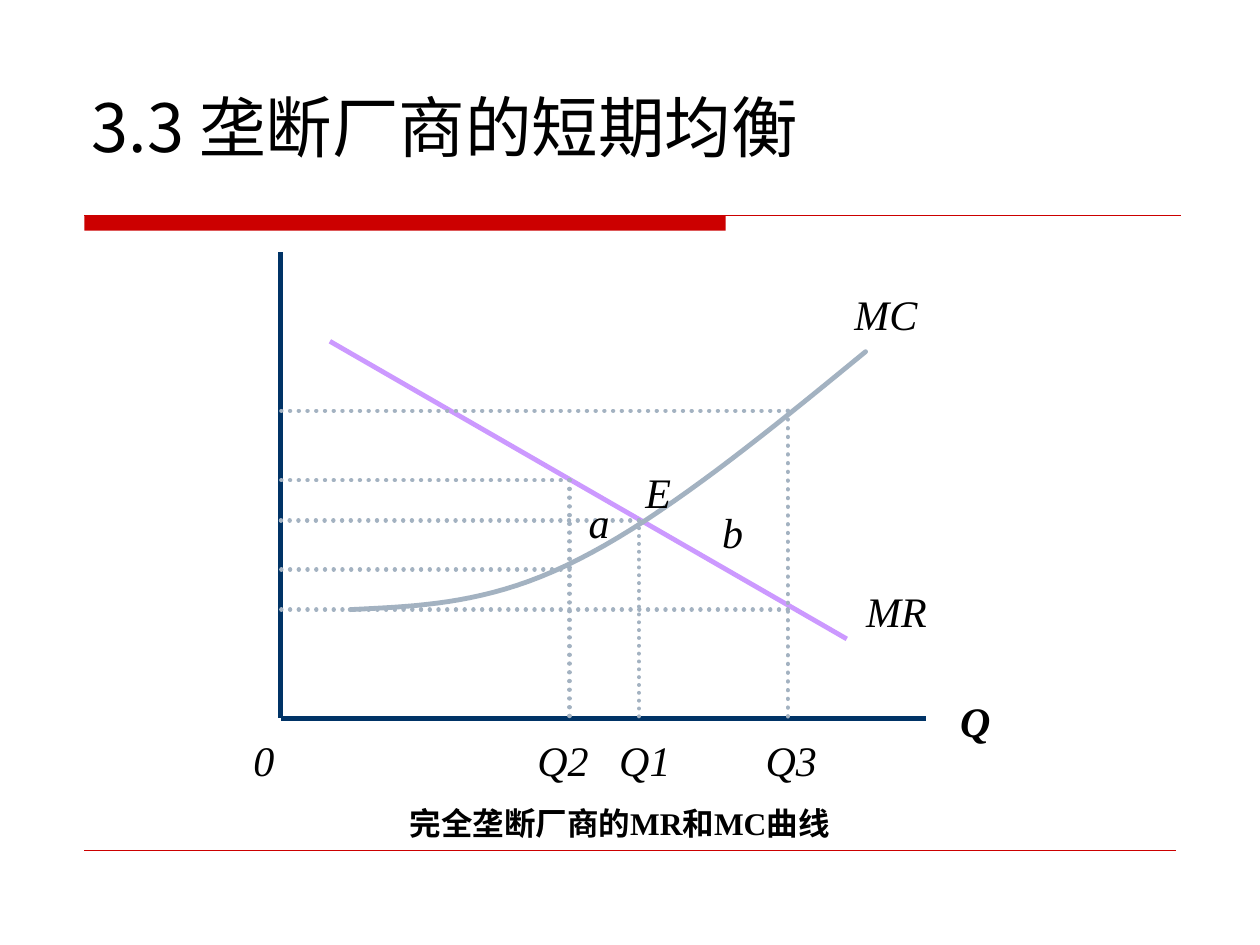
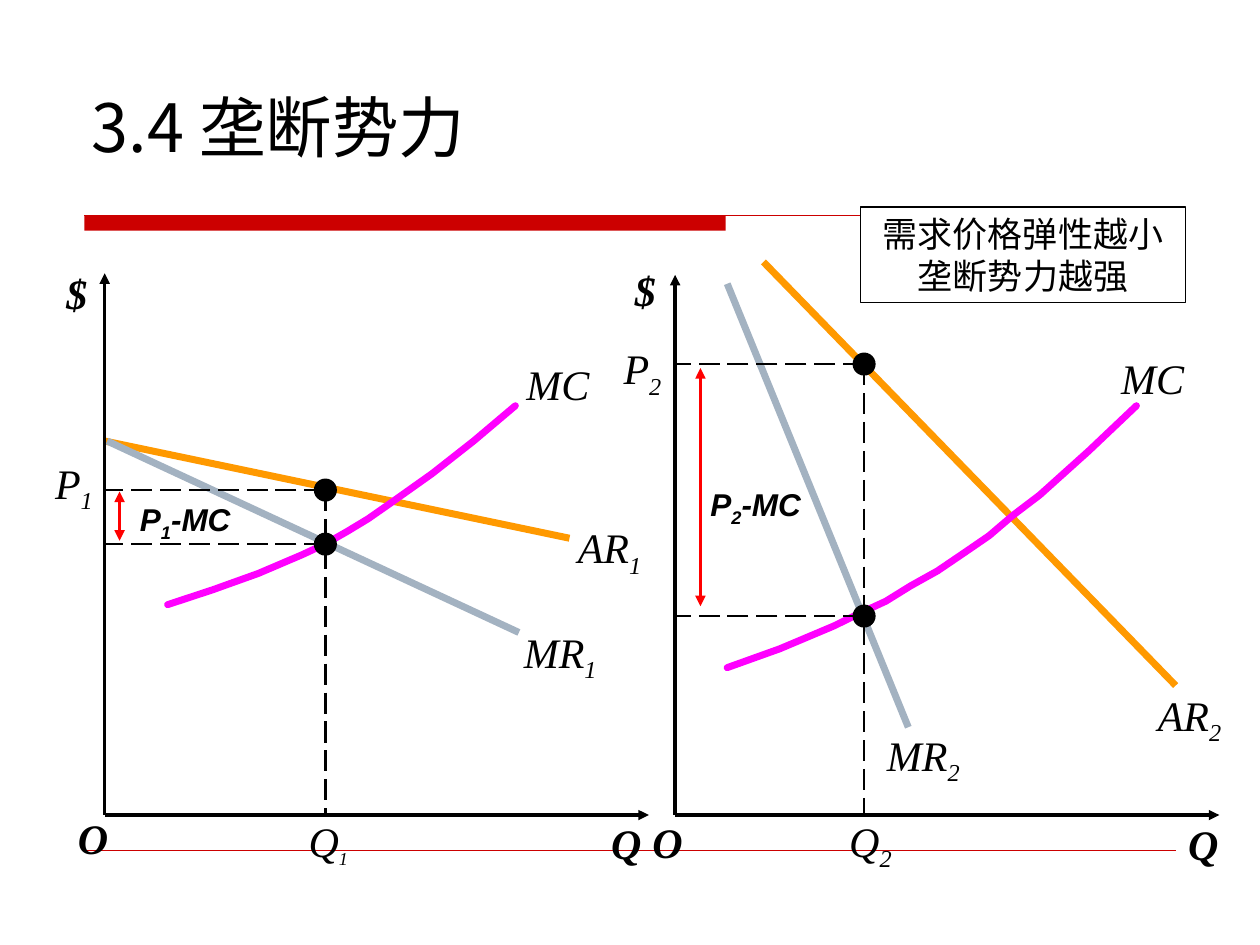
from lxml import etree
from pptx import Presentation
from pptx.dml.color import RGBColor
from pptx.enum.dml import MSO_LINE
from pptx.enum.shapes import MSO_CONNECTOR, MSO_SHAPE
from pptx.enum.text import MSO_ANCHOR, PP_ALIGN
from pptx.oxml.ns import qn
from pptx.util import Cm, Pt

RED, BLACK, WHITE = "CC0000", "000000", "FFFFFF"
NAVY, LILAC, GREY = "003366", "CC99FF", "A3B2C1"
ORANGE, MAGENTA, ARROW_RED = "FF9900", "FF00FF", "FF0000"
SERIF, CJK = "Times New Roman", "Noto Sans CJK SC"
hex_color = RGBColor.from_string


def add_line(slide, start, end, color, weight, dash=None, arrows=()):
    """Draw a straight line; arrows names its headEnd and/or tailEnd."""
    line = slide.shapes.add_connector(
        MSO_CONNECTOR.STRAIGHT, *map(Cm, (*start, *end)))
    line.line.color.rgb = hex_color(color)
    line.line.width = Pt(weight)
    if dash:
        line.line.dash_style = dash
    properties = line._element.spPr
    outline = properties.find(qn("a:ln"))
    if dash == MSO_LINE.ROUND_DOT:
        outline.set("cap", "rnd")
    for arrow in arrows:
        etree.SubElement(outline, qn(f"a:{arrow}"), type="triangle")
    etree.SubElement(properties, qn("a:effectLst"))


def add_label(slide, text, box, size=24, bold=False, italic=True, font=SERIF,
              align=PP_ALIGN.LEFT, spacing=1.0, wrap=False, sub_size=None):
    """Write text in box; the character after each "_" is a subscript."""
    label = slide.shapes.add_textbox(*map(Cm, box))
    frame = label.text_frame
    frame.word_wrap = wrap
    paragraph = frame.paragraphs[0]
    paragraph.alignment, paragraph.line_spacing = align, spacing
    paragraph.font.size, paragraph.font.name = Pt(size), font
    paragraph.font.bold, paragraph.font.italic = bold, italic
    paragraph.font.color.rgb = hex_color(BLACK)
    first, *rest = text.split("_")
    pieces = [(first, False)]
    for part in rest:
        pieces += [(part[0], True), (part[1:], False)]
    for piece, lowered in pieces:
        if not piece:
            continue
        run = paragraph.add_run()
        run.text = piece
        if lowered:
            run._r.get_or_add_rPr().set("baseline", "-25000")
            if sub_size:
                run.font.size = Pt(sub_size)
        etree.SubElement(run._r.get_or_add_rPr(), qn("a:ea"), typeface=CJK)
    return label


prs = Presentation()
prs.slide_width, prs.slide_height = Cm(25.4), Cm(19.05)

# Title, red band and footer rule on every slide
slides = []
for title in ("3.3 垄断厂商的短期均衡", "3.4 垄断势力"):
    slide = prs.slides.add_slide(prs.slide_layouts[6])
    slides.append(slide)
    band = slide.shapes.add_shape(
        MSO_SHAPE.RECTANGLE, Cm(1.7), Cm(4.34), Cm(12.93), Cm(0.31))
    band.shadow.inherit = False
    band.fill.solid()
    band.fill.fore_color.rgb = hex_color(RED)
    band.line.fill.background()
    add_line(slide, (1.7, 4.34), (23.8, 4.34), RED, 0.75)
    add_line(slide, (1.7, 17.15), (23.7, 17.15), RED, 0.25)
    heading = add_label(slide, title, (1.6, 0.84, 22.23, 3.38), size=38,
                        italic=False, font=CJK, wrap=True)
    heading.text_frame.vertical_anchor = MSO_ANCHOR.MIDDLE
equilibrium, power = slides

# Slide 1: short-run equilibrium
axis_x, axis_y = 5.66, 14.48
add_line(equilibrium, (axis_x, 5.08), (axis_x, axis_y), NAVY, 3)
add_line(equilibrium, (axis_x, axis_y), (18.67, axis_y), NAVY, 3)
add_line(equilibrium, (6.65, 6.88), (17.07, 12.88), LILAC, 2.75)

# Marginal cost: two cubic Bézier arcs, sampled in equal steps
arcs = [((7.06, 12.29), (8.51, 12.22), (9.93, 12.17), (11.66, 11.28)),
        ((11.66, 11.28), (13.39, 10.41), (15.42, 8.76), (17.45, 7.09))]
STEPS = 20
equilibrium_cost = [arcs[0][0]]
for arc in arcs:
    for step in range(1, STEPS + 1):
        t = step / STEPS
        weights = ((1 - t) ** 3, 3 * t * (1 - t) ** 2, 3 * t ** 2 * (1 - t), t ** 3)
        equilibrium_cost.append(tuple(
            sum(w * point[axis] for w, point in zip(weights, arc))
            for axis in (0, 1)))

left_cost = [(3.38, 12.19), (4.29, 11.89), (5.21, 11.56), (6.1, 11.18),
             (6.55, 10.97), (6.99, 10.72), (7.42, 10.46), (7.85, 10.16),
             (8.71, 9.55), (9.55, 8.89), (10.39, 8.18)]
right_cost = [(14.66, 13.46), (15.72, 13.08), (16.81, 12.62), (17.32, 12.37),
              (17.86, 12.12), (18.36, 11.81), (18.9, 11.51), (19.43, 11.15),
              (19.94, 10.8), (20.42, 10.39), (20.96, 9.98), (21.95, 9.09),
              (22.91, 8.18)]

# Average and marginal revenue lie under the cost curves
for color, start, end in [
        (ORANGE, (2.11, 8.89), (11.48, 10.85)),
        (GREY, (2.16, 8.89), (10.46, 12.75)),
        (GREY, (14.66, 5.72), (18.31, 14.66)),
        (ORANGE, (15.39, 5.28), (23.7, 13.82))]:
    add_line(power, start, end, color, 4)

for slide, points, color, weight in [
        (equilibrium, equilibrium_cost, GREY, 2.75),
        (power, left_cost, MAGENTA, 4),
        (power, right_cost, MAGENTA, 4)]:
    first, *others = [(Cm(x), Cm(y)) for x, y in points]
    builder = slide.shapes.build_freeform(*first)
    builder.add_line_segments(others, close=False)
    curve = builder.convert_to_shape()
    curve.shadow.inherit = False
    curve.fill.background()
    curve.line.color.rgb = hex_color(color)
    curve.line.width = Pt(weight)
    outline = curve._element.spPr.find(qn("a:ln"))
    outline.set("cap", "rnd")
    etree.SubElement(outline, qn("a:round"))

# Dotted guides from each quantity and its price levels to the axes
for quantity, prices, weight in [(12.88, [10.49], 2.25),
                                 (15.88, [8.28, 12.29], 2.5),
                                 (11.48, [9.68, 11.48], 2.5)]:
    add_line(equilibrium, (quantity, prices[0]), (quantity, axis_y), GREY,
             weight, MSO_LINE.ROUND_DOT)
    for price in prices:
        add_line(equilibrium, (quantity, price), (axis_x, price), GREY, 2.5,
                 MSO_LINE.ROUND_DOT)

for text, center, top in [
        ("MC", 17.86, 5.49), ("MR", 18.07, 11.48), ("E", 13.27, 9.07),
        ("a", 12.08, 9.68), ("b", 14.77, 9.88), ("Q", 19.66, 13.69),
        ("0", 5.32, axis_y), ("Q2", 11.35, axis_y), ("Q1", 13, axis_y),
        ("Q3", 15.95, axis_y)]:
    add_label(equilibrium, text, (center - 1.2, top, 2.4, 1.47),
              bold=text == "Q", align=PP_ALIGN.CENTER, spacing=1.2, wrap=True)
add_label(equilibrium, "完全垄断厂商的MR和MC曲线", (5.49, 15.93, 14, 1.17),
          size=18, bold=True, italic=False, align=PP_ALIGN.CENTER,
          spacing=1.2, wrap=True)

# Slide 2: axes, guides and price markup of the two markets
BASE, DOT = 16.43, 0.43
for origin, top, quantity, price, cost, markup_x, markup_ends in [
        (2.11, 5.51, 6.56, 9.88, 10.97, 2.41, (9.91, 10.9)),
        (13.61, 5.54, 17.42, 7.34, 12.42, 14.12, (7.42, 12.22))]:
    add_line(power, (origin, top), (origin, BASE), BLACK, 2, arrows=["headEnd"])
    add_line(power, (origin, BASE), (origin + 10.97, BASE), BLACK, 2,
             arrows=["tailEnd"])
    add_line(power, (quantity, price), (quantity, BASE), BLACK, 1.5,
             MSO_LINE.LONG_DASH)
    for level in (price, cost):
        add_line(power, (quantity, level), (origin, level), BLACK, 1.5,
                 MSO_LINE.LONG_DASH)
        dot = power.shapes.add_shape(
            MSO_SHAPE.OVAL, Cm(quantity - DOT / 2), Cm(level - DOT / 2),
            Cm(DOT), Cm(DOT))
        dot.shadow.inherit = False
        dot.fill.solid()
        dot.fill.fore_color.rgb = hex_color(BLACK)
        dot.line.color.rgb = hex_color(BLACK)
        dot.line.width = Pt(1)
    low, high = markup_ends
    add_line(power, (markup_x, low), (markup_x, high), ARROW_RED, 2,
             arrows=["headEnd", "tailEnd"])

for text, left, top, width in [
        ("AR_1", 11.4, 10.39, 1.78), ("MR_1", 10.31, 12.5, 1.98),
        ("MR_2", 17.63, 14.58, 1.98), ("AR_2", 23.09, 13.77, 1.78),
        ("MC", 10.36, 7.11, 1.78), ("MC", 22.35, 6.99, 1.78),
        ("Q_2", 16.87, 16.31, 1.37), ("P_2", 12.32, 6.78, 1.27),
        ("P_1", 0.86, 9.09, 1.27)]:
    add_label(power, text, (left, top, width, 1.4))
add_label(power, "Q_1", (5.97, 16.31, 1.3, 1.32), sub_size=18)
for text, left, top, width in [
        ("$", 1.09, 5.26, 0.91), ("O", 1.32, 16.26, 1.12),
        ("Q", 12.07, 16.36, 1.12), ("$", 12.55, 5.21, 0.91),
        ("O", 12.9, 16.33, 1.12), ("Q", 23.7, 16.38, 1.12)]:
    add_label(power, text, (left, top, width, 1.27), bold=True)
for text, left, top in [("P_1-MC", 2.57, 9.96), ("P_2-MC", 14.07, 9.65)]:
    add_label(power, text, (left, top, 2.34, 1.12), size=18, bold=True,
              font="Arial")

conclusion = power.shapes.add_shape(
    MSO_SHAPE.RECTANGLE, Cm(17.35), Cm(4.17), Cm(6.55), Cm(1.93))
conclusion.shadow.inherit = False
conclusion.fill.solid()
conclusion.fill.fore_color.rgb = hex_color(WHITE)
conclusion.line.color.rgb = hex_color(BLACK)
conclusion.line.width = Pt(1)
conclusion.text_frame.text = "需求价格弹性越小\n垄断势力越强"
for paragraph in conclusion.text_frame.paragraphs:
    paragraph.alignment = PP_ALIGN.CENTER
    paragraph.font.size, paragraph.font.name = Pt(20), SERIF
    paragraph.font.color.rgb = hex_color(BLACK)

prs.save("out.pptx")
